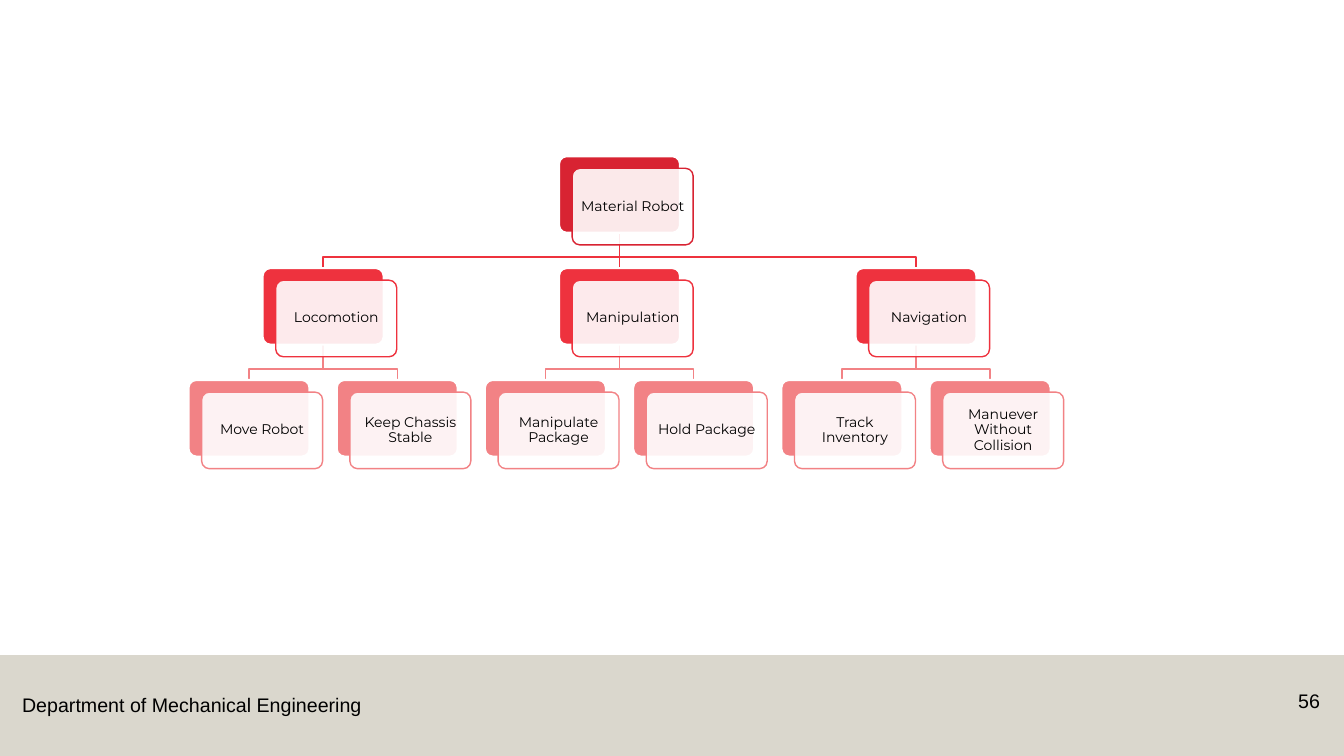
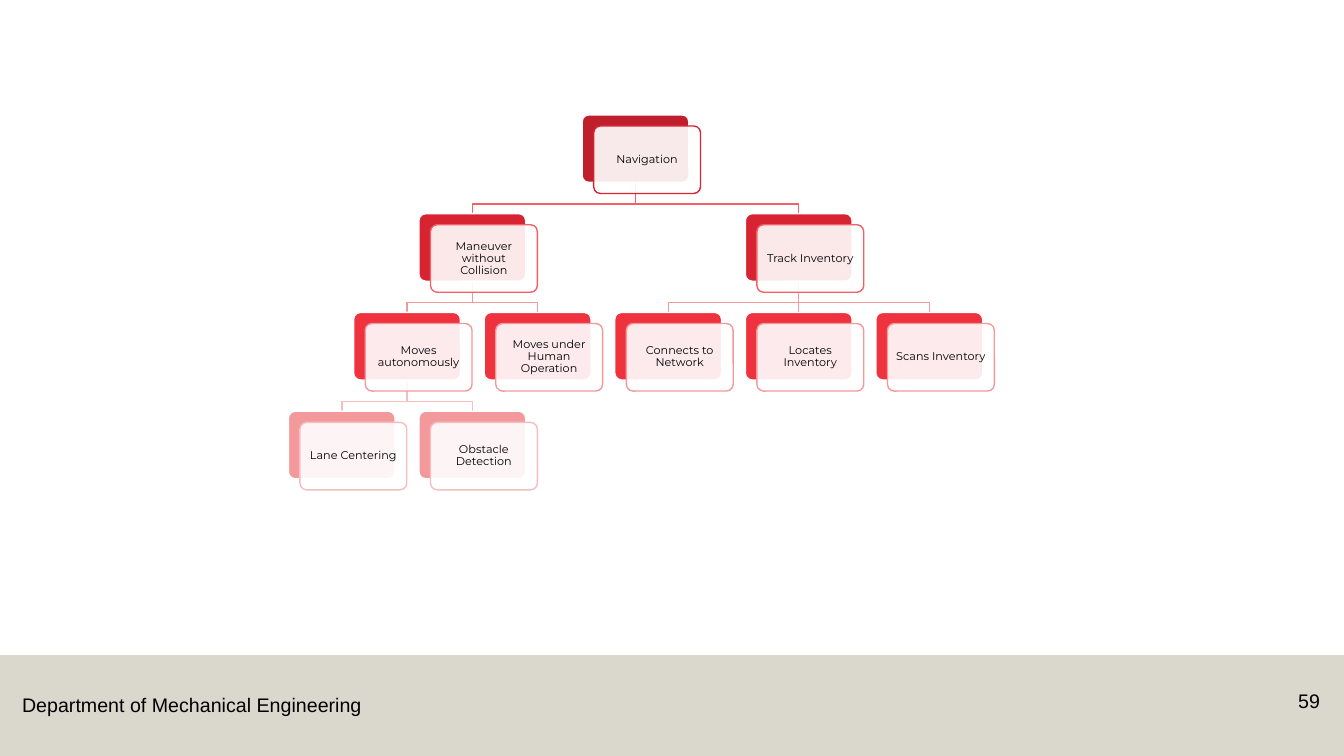
from collections import defaultdict
from dataclasses import dataclass, field

from lxml import etree
from pptx import Presentation
from pptx.dml.color import RGBColor
from pptx.enum.shapes import MSO_CONNECTOR, MSO_SHAPE
from pptx.enum.text import MSO_ANCHOR, PP_ALIGN
from pptx.oxml.ns import qn
from pptx.util import Inches, Pt

COLOURS = {
    "white": "FFFFFF", "black": "000000", "band": "B7B09C",
    "wine": "BF1F2C", "crimson": "D82332", "red": "EE323E", "coral": "F06268",
    "salmon": "F28285", "rose": "F3999B", "blush": "F7BEBF",
}
FOOTER = "Department of Mechanical Engineering"

CHARTS = [
    {
        "number": "56",
        "tree": ("Material Robot", [
            ("Locomotion", [("Move Robot", []), ("Keep Chassis Stable", [])]),
            ("Manipulation", [("Manipulate Package", []), ("Hold Package", [])]),
            ("Navigation", [("Track Inventory", []), ("Manuever Without Collision", [])]),
        ]),
        "fills": ["crimson", "red", "salmon"],
        "lines": ["crimson", "red", "salmon"],
        "origin": (1.87, 1.55), "pitch": (1.47, 1.11), "box": (1.2, 0.76),
        "offset": (0.13, 0.12), "inset": 0.06, "edge": 1.5, "size": 10,
    },
    {
        "number": "59",
        "tree": ("Navigation", [
            ("Maneuver without Collision", [
                ("Moves autonomously", [("Lane Centering", []), ("Obstacle Detection", [])]),
                ("Moves under Human Operation", []),
            ]),
            ("Track Inventory", [
                ("Connects to Network", []), ("Locates Inventory", []), ("Scans Inventory", []),
            ]),
        ]),
        "fills": ["wine", "crimson", "red", "rose"],
        "lines": ["crimson", "coral", "rose", "blush"],
        "origin": (2.86, 1.14), "pitch": (1.295, 0.98), "box": (1.06, 0.67),
        "offset": (0.115, 0.11), "inset": 0.05, "edge": 1, "size": 8,
    },
]


@dataclass
class Node:
    label: str
    level: int
    slot: float = 0
    children: list = field(default_factory=list)


def colour(name):
    return RGBColor.from_string(COLOURS[name])


def arrange(tree, free, level=0):
    label, branches = tree
    node = Node(label, level)
    node.children = [arrange(branch, free, level + 1) for branch in branches]
    if node.children:
        node.slot = sum(child.slot for child in node.children) / len(node.children)
    else:
        node.slot = free[level]
    free[level] = node.slot + 1
    return node


def walk(node):
    yield node
    for child in node.children:
        yield from walk(child)


def set_fill(shape, name, opacity=100):
    shape.fill.solid()
    shape.fill.fore_color.rgb = colour(name)
    if opacity < 100:
        tint = shape.fill._xPr.find(qn("a:solidFill"))[0]
        etree.SubElement(tint, qn("a:alpha"), val=str(opacity * 1000))


def set_line(shape, name, width=1):
    shape.line.color.rgb = colour(name)
    shape.line.width = Pt(width)


def set_text(shape, text, size, font, align=PP_ALIGN.LEFT):
    shape.text_frame.text = text
    paragraph = shape.text_frame.paragraphs[0]
    paragraph.alignment = align
    paragraph.font.size = Pt(size)
    paragraph.font.name = font
    paragraph.font.color.rgb = colour("black")
    return paragraph


def add_box(slide, left, top, chart, fill, opacity, line, width):
    box = slide.shapes.add_shape(
        MSO_SHAPE.ROUNDED_RECTANGLE, *map(Inches, (left, top, *chart["box"])))
    box.adjustments[0] = 0.1
    box.shadow.inherit = False
    set_fill(box, fill, opacity)
    set_line(box, line, width)
    return box


def position(node, chart):
    return [start + step * count for start, step, count in
            zip(chart["origin"], chart["pitch"], (node.slot, node.level))]


def add_branch(slide, parent, child, chart):
    width, height = chart["box"]
    parent_left, parent_top = position(parent, chart)
    child_left, child_top = position(child, chart)
    start_x, end_x = Inches(parent_left + width / 2), Inches(child_left + width / 2)
    start_y, end_y = Inches(parent_top + height), Inches(child_top)
    if abs(parent.slot - child.slot) < 0.01:
        branch = slide.shapes.add_connector(
            MSO_CONNECTOR.STRAIGHT, start_x, start_y, end_x, end_y)
        etree.SubElement(branch._element.spPr, qn("a:effectLst"))
    else:
        bend_y = start_y + round(0.69 * (end_y - start_y))
        builder = slide.shapes.build_freeform(start_x, start_y)
        builder.add_line_segments(
            [(start_x, bend_y), (end_x, bend_y), (end_x, end_y)], close=False)
        branch = builder.convert_to_shape()
        branch.fill.background()
        branch.shadow.inherit = False
    set_line(branch, chart["lines"][child.level])


def add_card(slide, node, chart):
    left, top = position(node, chart)
    shift_x, shift_y = chart["offset"]
    add_box(slide, left, top, chart, chart["fills"][node.level], 100, "white", chart["edge"])
    card = add_box(slide, left + shift_x, top + shift_y, chart,
                   "white", 90, chart["lines"][node.level], 1)
    frame = card.text_frame
    frame.word_wrap = True
    frame.vertical_anchor = MSO_ANCHOR.MIDDLE
    frame.margin_left = frame.margin_right = Inches(chart["inset"])
    frame.margin_top = frame.margin_bottom = Inches(chart["inset"])
    paragraph = set_text(card, node.label, chart["size"], "Montserrat", PP_ALIGN.CENTER)
    paragraph.line_spacing = 0.9


def move_footer_to_layout(slide, slide_width):
    band = slide.shapes.add_shape(
        MSO_SHAPE.RECTANGLE, 0, Inches(6.5), slide_width, Inches(1))
    band.shadow.inherit = False
    set_fill(band, "band", 50)
    band.line.fill.background()
    department = slide.shapes.add_textbox(*map(Inches, (0.12, 6.83, 3.59, 0.34)))
    department.text_frame.word_wrap = False
    set_text(department, FOOTER, 14, "Arial")
    layout = slide.slide_layout
    for placeholder in list(layout.placeholders):
        placeholder._element.getparent().remove(placeholder._element)
    for shape in (band, department):
        layout.shapes._spTree.append(shape._element)


def add_number(slide, number):
    box = slide.shapes.add_textbox(*map(Inches, (12.42, 6.79, 0.77, 0.4)))
    box.text_frame.word_wrap = True
    set_text(box, number, 14, "Arial", PP_ALIGN.RIGHT)


def main():
    presentation = Presentation()
    presentation.slide_width = Inches(13.33)
    presentation.slide_height = Inches(7.5)
    blank = presentation.slide_layouts[6]
    for index, chart in enumerate(CHARTS):
        slide = presentation.slides.add_slide(blank)
        if index == 0:
            move_footer_to_layout(slide, presentation.slide_width)
        add_number(slide, chart["number"])
        nodes = list(walk(arrange(chart["tree"], defaultdict(int))))
        for parent in nodes:
            for child in parent.children:
                add_branch(slide, parent, child, chart)
        for node in nodes:
            add_card(slide, node, chart)
    presentation.save("out.pptx")


if __name__ == "__main__":
    main()
